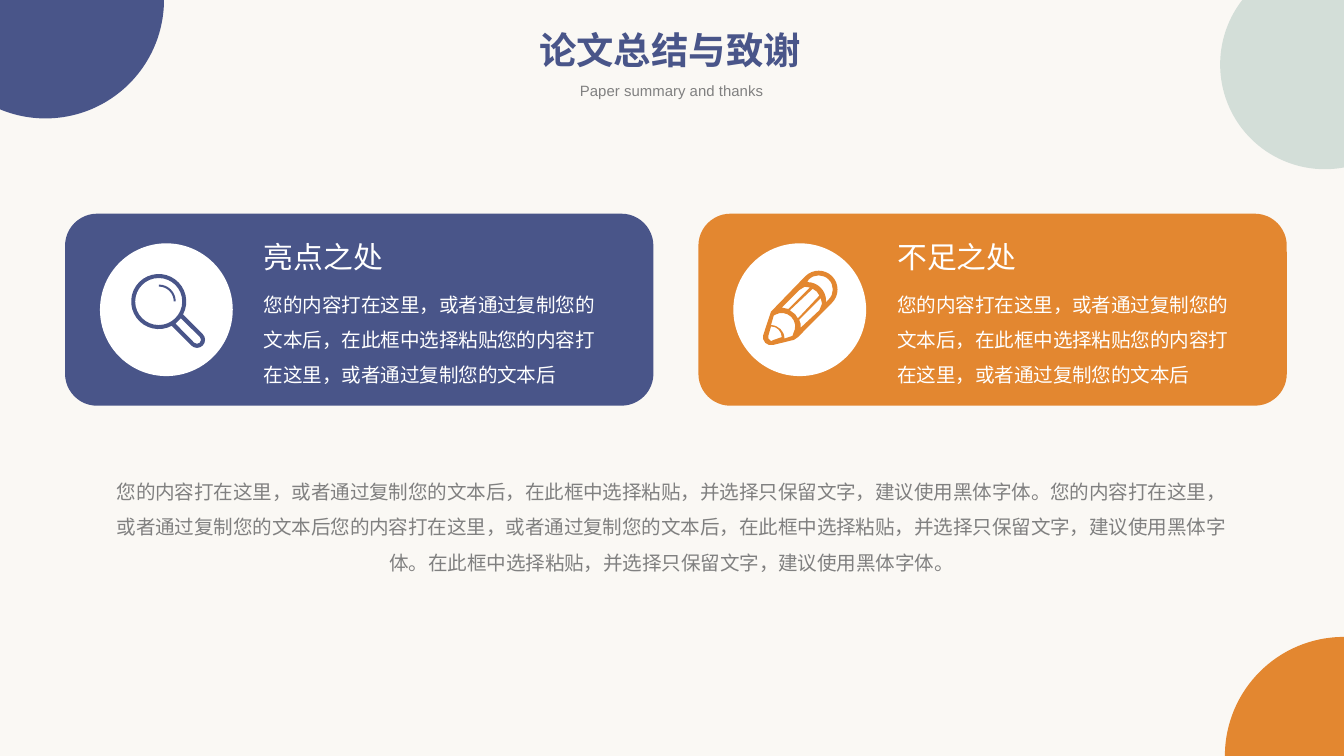
from math import ceil, cos, radians, sin, tan

from lxml import etree
from pptx import Presentation
from pptx.dml.color import RGBColor
from pptx.enum import shapes, text
from pptx.oxml import ns
from pptx.util import Cm, Pt

HUES = {
    "page": "FAF8F4", "blue": "495589", "orange": "E38730",
    "mint": "D3DED8", "white": "FFFFFF", "gray": "808080",
}
KIND = shapes.MSO_SHAPE
MID = text.PP_ALIGN.CENTER
WIDE, HIGH = 25.4, 14.29
STEP = 11.97  # distance between the two cards
GRID = 0.0254  # icon unit in cm

CARD_TEXT = ("您的内容打在这里，或者通过复制您的文本后，在此框中选择粘贴"
             "您的内容打在这里，或者通过复制您的文本后")
CLOSING = ("您的内容打在这里，或者通过复制您的文本后，在此框中选择粘贴，"
           "并选择只保留文字，建议使用黑体字体。您的内容打在这里，"
           "或者通过复制您的文本后您的内容打在这里，或者通过复制您的文本后，"
           "在此框中选择粘贴，并选择只保留文字，建议使用黑体字体。"
           "在此框中选择粘贴，并选择只保留文字，建议使用黑体字体。")


def tint(hue):
    return RGBColor.from_string(HUES[hue])


def paint(shape, hue):
    shape.shadow.inherit = False
    shape.fill.solid()
    shape.fill.fore_color.rgb = tint(hue)
    shape.line.fill.background()


def arc(x, y, r, start, end):
    """Arc as a start point and Bezier triples, degrees clockwise from right."""
    count = ceil(abs(end - start) / 90)
    turn = radians(end - start) / count
    pull = 4 / 3 * tan(turn / 4)

    def spot(a, k):
        return x + r * (cos(a) - k * sin(a)), y + r * (sin(a) + k * cos(a))

    first = radians(start)
    steps = [spot(first, 0)]
    for i in range(count):
        a = first + i * turn
        b = a + turn
        steps.append((spot(a, pull), spot(b, -pull), spot(b, 0)))
    return steps


def add_form(pool, hue, loops, box, unit=1):
    """Fill closed loops, given from the corner of the box; inner ones are holes."""
    left, top, wide, high = map(Cm, box)
    pen = pool.build_freeform(left, top)
    pen.add_line_segments([(left + wide, top), (left + wide, top + high)])
    shape = pen.convert_to_shape()
    track = shape.element.xpath(".//a:path")[0]
    for old in list(track):
        track.remove(old)

    def put(tag, dots=()):
        node = etree.SubElement(track, ns.qn("a:" + tag))
        for x, y in dots:
            etree.SubElement(node, ns.qn("a:pt"),
                             x=str(Cm(x * unit)), y=str(Cm(y * unit)))

    for first, *rest in loops:
        put("moveTo", [first])
        for step in rest:
            if len(step) == 3:
                put("cubicBezTo", step)
            else:
                put("lnTo", [step])
        put("close")
    paint(shape, hue)


def add_shape(pool, kind, hue, *box):
    paint(pool.add_shape(kind, *map(Cm, box)), hue)


def add_text(pool, words, box, size, hue, bold=None, align=None,
             wrap=False, lead=None, before=None):
    area = pool.add_textbox(*map(Cm, box))
    frame = area.text_frame
    frame.word_wrap = wrap
    frame.auto_size = text.MSO_AUTO_SIZE.SHAPE_TO_FIT_TEXT
    line = frame.paragraphs[0]
    line.text = words
    line.alignment = align
    line.line_spacing = lead
    line.space_before = before
    font = line.font
    font.name, font.size, font.bold = "Arial", Pt(size), bold
    font.color.rgb = tint(hue)


def add_card(pool, left, hue, title):
    add_shape(pool, KIND.ROUNDED_RECTANGLE, hue, left, 4.04, 11.12, 3.63)
    add_shape(pool, KIND.OVAL, "white", left + 0.66, 4.6, 2.51, 2.51)
    add_text(pool, title, (left + 3.51, 4.39, 2.79, 0.94), 16, "white")
    add_text(pool, CARD_TEXT, (left + 3.51, 5.19, 7.09, 2.21), 10.5, "white",
             wrap=True, lead=1.5)


def add_corners(pool):
    add_form(pool, "blue", [arc(0.86, 0, 2.24, 0, 112.6) + [(0, 0)]],
             (0, 0, 3.1, 2.24))
    add_form(pool, "orange", [arc(2.25, 2.25, 2.25, 180, 270) + [(2.25, 2.25)]],
             (WIDE - 2.25, HIGH - 2.25, 2.25, 2.25))
    add_form(pool, "mint", [arc(1.98, 1.22, 1.98, 79.5, 218) + [(2.34, 0)]],
             (WIDE - 2.34, 0, 2.34, 3.2))


def add_pencil(pool, left, top):
    loops = [
        # Outline
        arc(41.5, 13.5, 14, -135, 45) + [(26, 49), (23, 51)]
        + arc(6, 49, 6, 75, 195) + [(5, 33), (6, 30)],
        # Eraser, wood and lead
        arc(41.5, 13.5, 10.5, -135, 45) + [(47, 23)] + arc(33, 22, 14, 0, -90),
        arc(6, 50, 10, 0, -90) + [(8, 33)] + arc(14, 41, 10, -120, 30) + [(22, 48)],
        arc(6, 49, 8, -90, 0) + [(8, 51), (6, 52), (4, 50), (4, 48)],
        # Three sides of the barrel
        [(19, 28), (14, 27), (27, 14), (31, 11.5), (35, 12)],
        [(26, 35), (24, 32), (20, 29), (37, 13), (40, 15), (42, 18)],
        [(28, 42), (28, 39), (27, 36), (43, 20), (44, 24), (42, 29)],
    ]
    add_form(pool, "orange", loops, (left, top, 1.4, 1.4), GRID)


def add_lens(pool, left, top):
    mid = (20.5, 20.5)
    loops = [
        arc(*mid, 20.5, 62, 388) + arc(49, 49, 6, -45, 135),
        arc(*mid, 17.5, 0, 360),
        [(33, 37), (37, 33)] + arc(49, 49, 3, -45, 135),
    ]
    glint = arc(1, 12.5, 12.5, -90, 0) + arc(1, 12.5, 11, 0, -90)
    add_form(pool, "blue", loops, (left, top, 1.4, 1.4), GRID)
    add_form(pool, "blue", [glint], (left + 0.5, top + 0.2, 0.34, 0.32), GRID)


def main():
    deck = Presentation()
    deck.slide_width, deck.slide_height = Cm(WIDE), Cm(HIGH)
    slide = deck.slides.add_slide(deck.slide_layouts[6])
    slide.background.fill.solid()
    slide.background.fill.fore_color.rgb = tint("page")
    pool = slide.shapes

    # Corners and heading
    add_corners(pool)
    add_text(pool, "论文总结与致谢", (9.91, 0.39, 5.51, 1.12), 20, "blue",
             bold=True, align=MID)
    add_text(pool, "Paper summary and thanks", (10.69, 1.42, 4.01, 0.61), 8,
             "gray", align=MID)

    # Cards and their icons
    cards = [("blue", "亮点之处"), ("orange", "不足之处")]
    for i, (hue, title) in enumerate(cards):
        add_card(pool.add_group_shape().shapes, 1.23 + i * STEP, hue, title)
    add_pencil(pool, 14.42, 5.13)
    add_lens(pool.add_group_shape().shapes, 2.48, 5.18)

    # Closing words
    add_text(pool, CLOSING, (1.84, 8.73, 21.72, 2.21), 10.5, "gray",
             align=MID, wrap=True, lead=1.5, before=Pt(6))
    deck.save("out.pptx")


if __name__ == "__main__":
    main()
